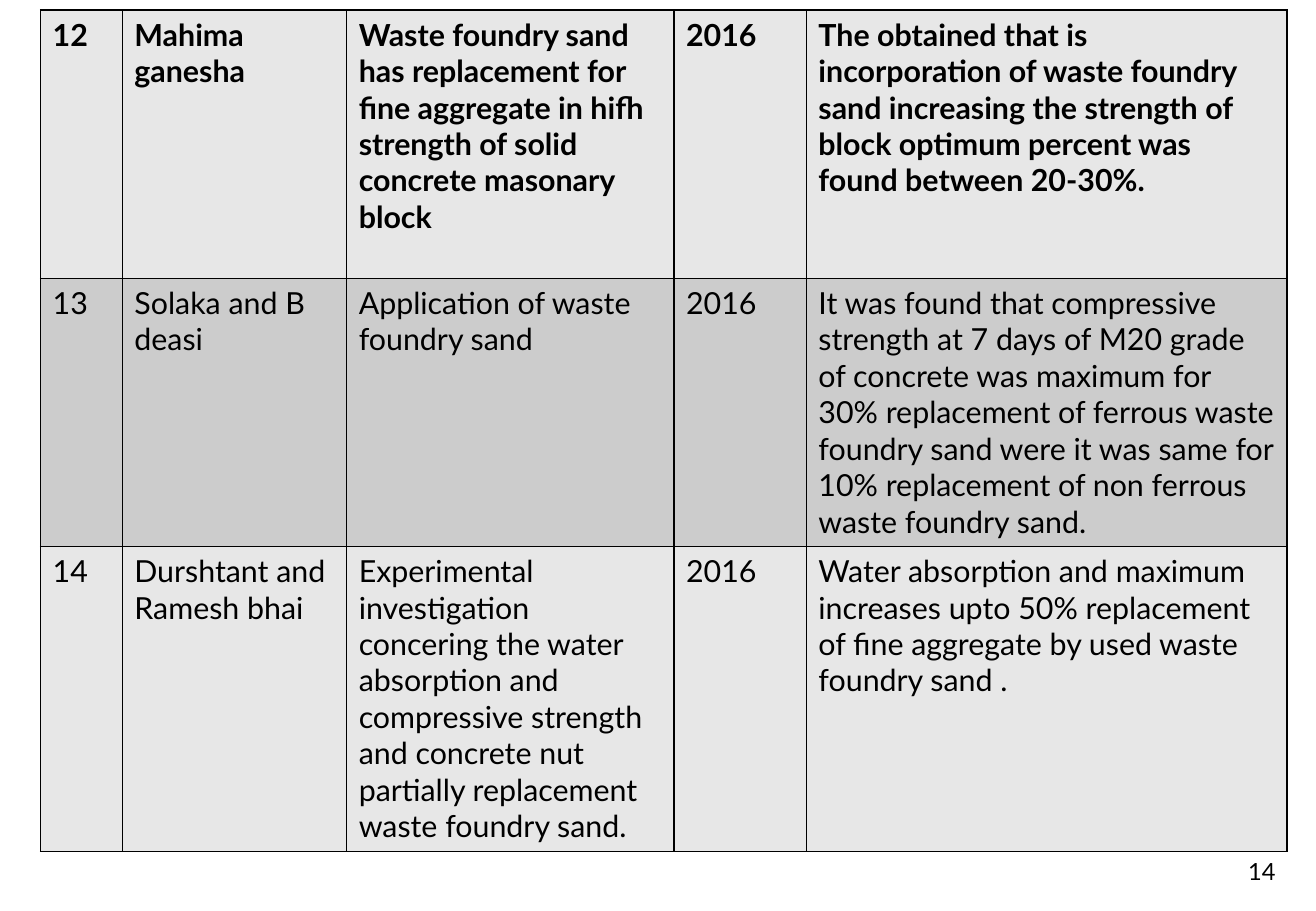
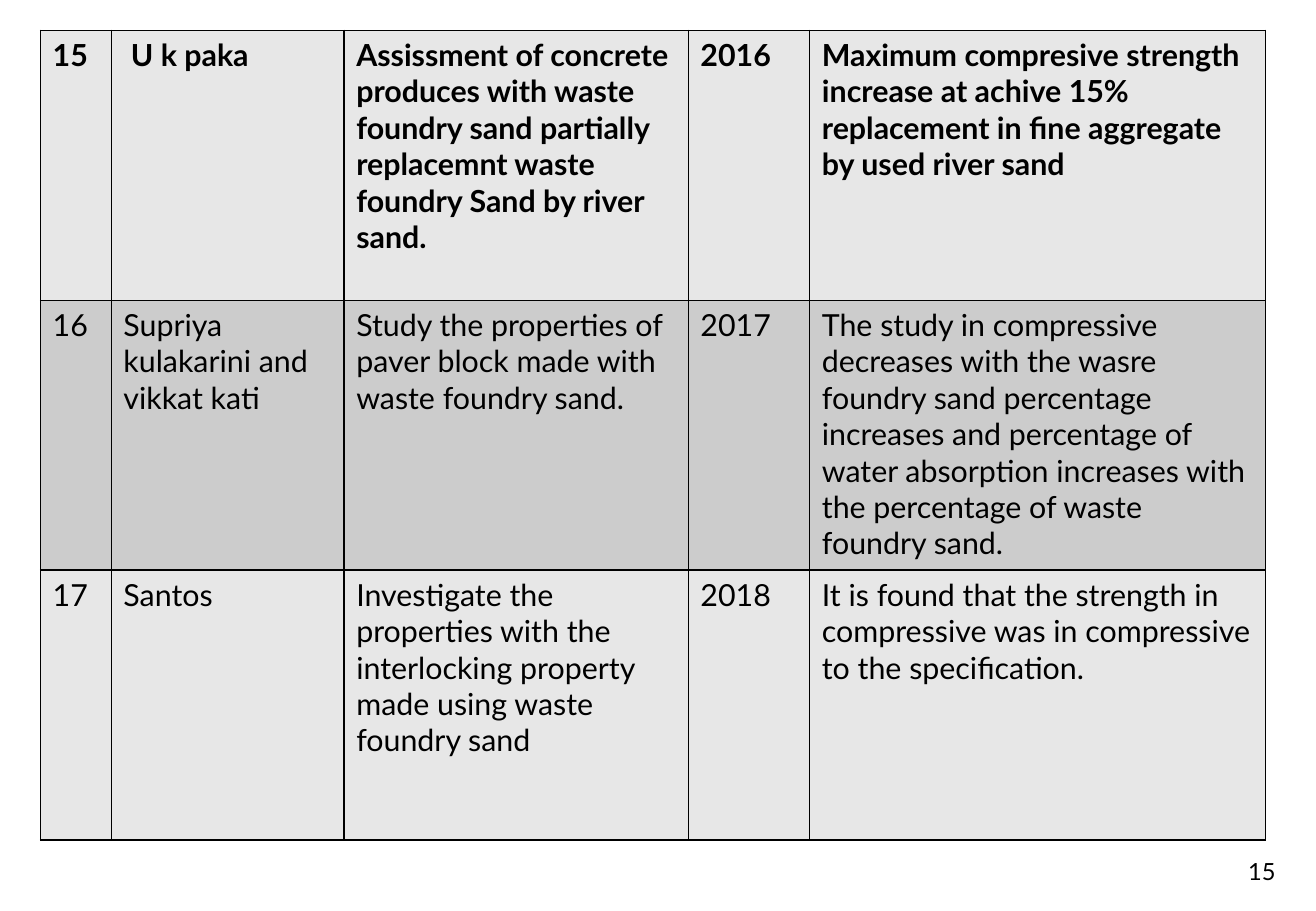
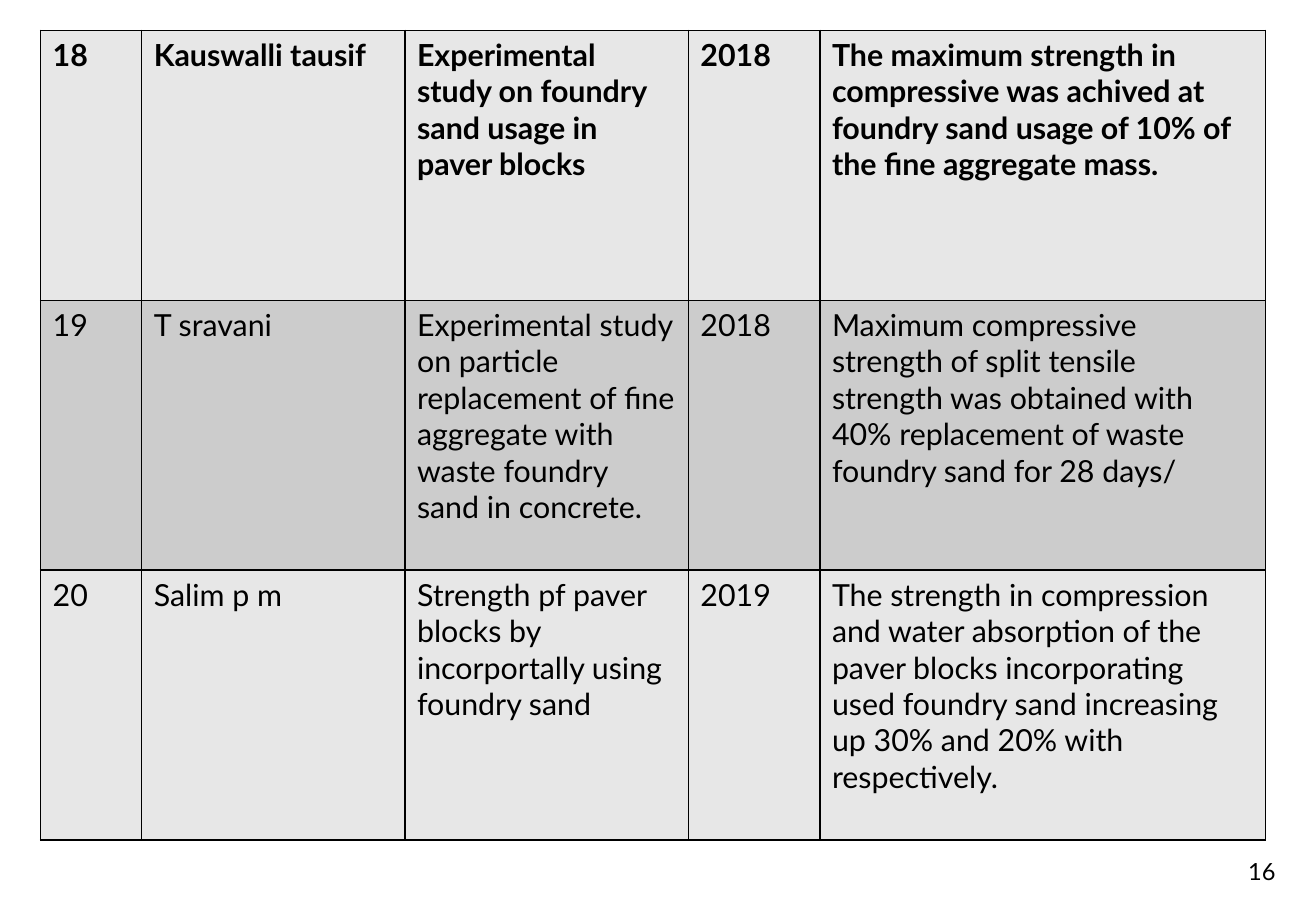
from dataclasses import dataclass

from lxml import etree
from pptx import Presentation
from pptx import util as u
from pptx.dml.color import RGBColor
from pptx.enum import text
from pptx.oxml import ns
from pptx.slide import Slide
from pptx.table import _Cell
from pptx.text.text import TextFrame


@dataclass(frozen=True)
class Theme:
    font: str = "Lato"
    ink: str = "000000"
    fills: tuple[str, str] = ("E7E7E7", "CCCCCC")
    border: float = 1
    body_size: float = 18
    number_size: float = 14


@dataclass(frozen=True)
class Study:
    number: str
    authors: str
    title: str
    year: str
    finding: str

    def cells(self) -> tuple[str, ...]:
        return self.number, self.authors, self.title, self.year, self.finding


@dataclass(frozen=True)
class Page:
    number: int
    number_width: float
    table_top: float
    columns: tuple[float, ...]
    rows: tuple[float, ...]
    studies: tuple[Study, ...]


THEME = Theme()
SLIDE_WIDTH, SLIDE_HEIGHT = 780, 540
TABLE_LEFT = 24
NUMBER_RIGHT, NUMBER_TOP, NUMBER_HEIGHT = 763.2, 492, 36

PAGES = (
    Page(14, 162.7, 6, (48.5, 133, 194, 78.5, 285), (159, 159, 180.7), (
        Study("12", "Mahima ganesha",
              "Waste foundry sand has replacement for fine aggregate in hifh "
              "strength of solid concrete masonary block",
              "2016",
              "The obtained that is incorporation of waste foundry sand increasing "
              "the strength of block optimum percent was found between 20-30%."),
        Study("13", "Solaka and B\ndeasi",
              "Application of waste foundry sand",
              "2016",
              "It was found that compressive strength at 7 days of M20 grade of "
              "concrete was maximum for 30% replacement of ferrous waste foundry sand "
              "were it was same for 10% replacement of non ferrous waste foundry sand."),
        Study("14", "Durshtant and Ramesh bhai",
              "Experimental investigation concering the water absorption and "
              "compressive strength and concrete nut partially replacement waste "
              "foundry sand.",
              "2016",
              "Water absorption and maximum increases upto 50% replacement of fine "
              "aggregate by used waste foundry sand ."),
    )),
    Page(15, 43.2, 18, (42, 138, 204, 72, 270), (160, 160, 160), (
        Study("15", " U k paka",
              "Assissment of concrete produces with waste foundry sand partially "
              "replacemnt waste foundry Sand by river sand.",
              "2016",
              "Maximum compresive strength increase at achive 15% replacement in "
              "fine aggregate by used river sand"),
        Study("16", "Supriya kulakarini and vikkat kati",
              "Study the properties of paver block made with waste foundry sand.",
              "2017",
              "The study in compressive decreases with the wasre foundry sand "
              "percentage increases and percentage of water absorption increases "
              "with the percentage of waste foundry sand."),
        Study("17", "Santos",
              "Investigate the properties with the interlocking property made using "
              "waste foundry sand",
              "2018",
              "It is found that the strength in compressive was in compressive to "
              "the specification."),
    )),
    Page(16, 162.7, 18, (60, 156, 168, 78, 264), (160, 160, 160), (
        Study("18", "Kauswalli tausif",
              "Experimental study on foundry sand usage in paver blocks",
              "2018",
              "The maximum strength in compressive was achived at foundry sand usage "
              "of 10% of the fine aggregate mass."),
        Study("19", "T sravani",
              "Experimental study on particle replacement of fine aggregate with "
              "waste foundry sand in concrete.",
              "2018",
              "Maximum compressive strength of split tensile strength was obtained "
              "with 40% replacement of waste foundry sand for 28 days/"),
        Study("20", "Salim p m",
              "Strength pf paver blocks by incorportally using foundry sand",
              "2019",
              "The strength in compression and water absorption of the paver blocks "
              "incorporating used foundry sand increasing up 30% and 20% with "
              "respectively."),
    )),
)


def write(tf: TextFrame, content: str, size: float, bold: bool = False,
          align: text.PP_ALIGN = text.PP_ALIGN.LEFT) -> None:
    tf.text = content
    for p in tf.paragraphs:
        p.alignment = align
        p.font.name = THEME.font
        p.font.size = u.Pt(size)
        p.font.bold = bold
        p.font.color.rgb = RGBColor.from_string(THEME.ink)


def style_cell(cell: _Cell, fill: str) -> None:
    """Add the four borders, then the fill, in the order the schema asks for."""
    tc_pr = cell._tc.get_or_add_tcPr()
    for side in ("lnL", "lnR", "lnT", "lnB"):
        ln = etree.SubElement(tc_pr, ns.qn(f"a:{side}"), w=str(u.Pt(THEME.border)))
        solid = etree.SubElement(ln, ns.qn("a:solidFill"))
        etree.SubElement(solid, ns.qn("a:srgbClr"), val=THEME.ink)
    cell.fill.solid()
    cell.fill.fore_color.rgb = RGBColor.from_string(fill)


def add_page_number(s: Slide, page: Page) -> None:
    sp = s.shapes.add_textbox(u.Pt(NUMBER_RIGHT - page.number_width), u.Pt(NUMBER_TOP),
                              u.Pt(page.number_width), u.Pt(NUMBER_HEIGHT))
    tf = sp.text_frame
    tf.word_wrap = True
    tf.vertical_anchor = text.MSO_ANCHOR.BOTTOM
    write(tf, str(page.number), THEME.number_size, align=text.PP_ALIGN.RIGHT)


def add_study_table(s: Slide, page: Page) -> None:
    table = s.shapes.add_table(
        len(page.rows), len(page.columns), u.Pt(TABLE_LEFT), u.Pt(page.table_top),
        u.Pt(sum(page.columns)), u.Pt(sum(page.rows))).table
    table.first_row = table.horz_banding = False
    for column, width in zip(table.columns, page.columns):
        column.width = u.Pt(width)
    for i, (row, height, study) in enumerate(zip(table.rows, page.rows, page.studies)):
        row.height = u.Pt(height)
        for cell, content in zip(row.cells, study.cells()):
            write(cell.text_frame, content, THEME.body_size, bold=i == 0)
            style_cell(cell, THEME.fills[i % 2])


def main() -> None:
    prs = Presentation()
    prs.slide_width, prs.slide_height = u.Pt(SLIDE_WIDTH), u.Pt(SLIDE_HEIGHT)
    blank = prs.slide_layouts[6]
    for page in PAGES:
        s = prs.slides.add_slide(blank)
        add_page_number(s, page)
        add_study_table(s, page)
    prs.save("out.pptx")


if __name__ == "__main__":
    main()
